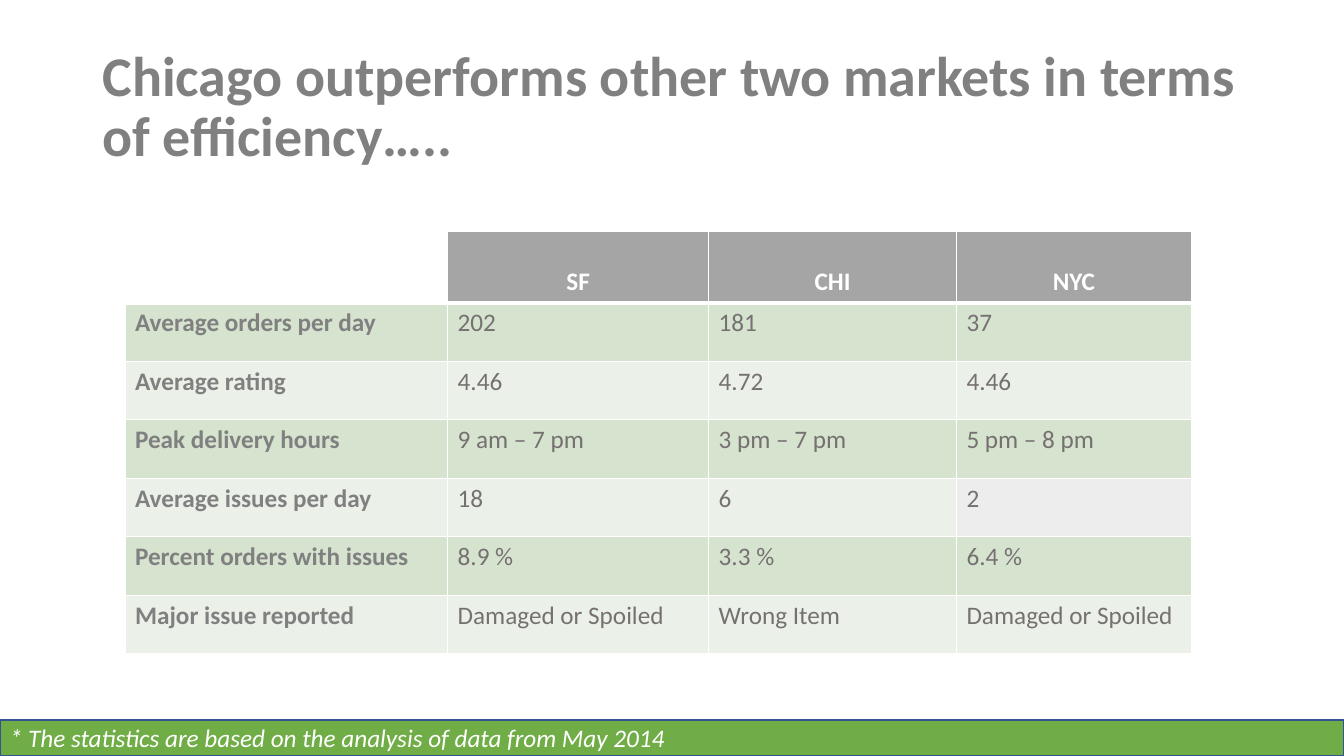
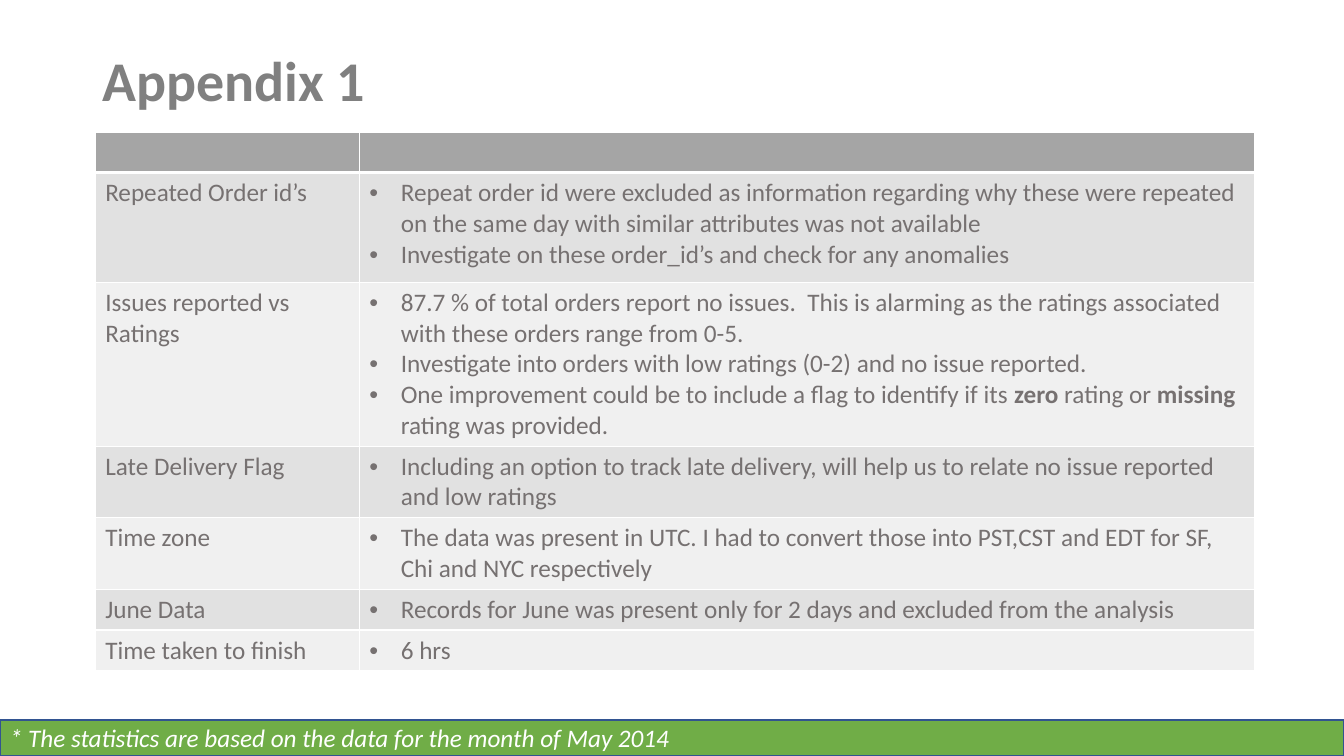
"""Build two slides: a market comparison table and an appendix of data notes."""

from dataclasses import dataclass, field

from lxml.etree import SubElement
from pptx import Presentation
from pptx.dml.color import RGBColor
from pptx.enum.shapes import MSO_SHAPE as Shape
from pptx.enum.text import MSO_ANCHOR as Anchor, PP_ALIGN as Align
from pptx.oxml.ns import qn
from pptx.util import Pt

FONT = "Calibri"
SLIDE_WIDTH, SLIDE_HEIGHT = 960, 540
FOOTER_TOP, FOOTER_HEIGHT = 514.4, 25.2
TITLE_LEFT, TITLE_WIDTH = 66.2, 828
TITLE_SIZE, BODY_SIZE = 40, 18
BULLET_INDENT = 22.5
BORDER_WIDTH, HEADER_BORDER_WIDTH = 1, 3
BOLD_MARK = "**"

COLORS = {
    "white": "FFFFFF",
    "title": "808080",
    "body": "767171",
    "header": "A5A5A5",
    "footer": "70AD47",
    "footer_line": "325491",
    "green_dark": "D5E3CF",
    "green_light": "EBF1E9",
    "gray_dark": "E1E1E1",
    "gray_light": "F0F0F0",
    "gray_single": "EDEDED",
}


@dataclass(frozen=True)
class TextStyle:
    color: str
    size: float = BODY_SIZE
    bold: bool = False
    italic: bool = False


@dataclass(frozen=True)
class TableSpec:
    left: float
    top: float
    column_widths: tuple[float, ...]
    row_heights: tuple[float, ...]
    rows: tuple[tuple[str, ...], ...]
    bands: tuple[str, str]
    label_style: TextStyle
    bulleted: bool = False
    fills: dict[tuple[int, int], str] = field(default_factory=dict)


@dataclass(frozen=True)
class SlideSpec:
    title: str
    title_top: float
    title_height: float
    footer: str
    table: TableSpec


TITLE = TextStyle("title", TITLE_SIZE, bold=True)
FOOTER = TextStyle("white", italic=True)
HEADER = TextStyle("white", bold=True)
BODY = TextStyle("body")
LABEL = TextStyle("title", bold=True)

MARKETS = TableSpec(
    left=89.3,
    top=165,
    column_widths=(230.4, 186.5, 177, 167.8),
    row_heights=(51.2,) + (41.8,) * 6,
    rows=(
        ("", "SF", "CHI", "NYC"),
        ("Average orders per day", "202", "181", "37"),
        ("Average rating", "4.46", "4.72", "4.46"),
        ("Peak delivery hours", "9 am – 7 pm", "3 pm – 7 pm", "5 pm – 8 pm"),
        ("Average issues per day", "18", "6", "2"),
        ("Percent orders with issues", "8.9 %", "3.3 %", "6.4 %"),
        ("Major issue reported", "Damaged or Spoiled", "Wrong Item", "Damaged or Spoiled"),
    ),
    bands=("green_dark", "green_light"),
    label_style=LABEL,
    fills={(0, 0): "white", (4, 3): "gray_single"},
)

DATA_NOTES = TableSpec(
    left=68,
    top=94.3,
    column_widths=(188.6, 639.4),
    row_heights=(29, 78.4, 117, 51.2, 51.2, 29, 29),
    rows=(
        ("", ""),
        (
            "Repeated Order id’s",
            "Repeat order id were excluded as information regarding why these were "
            "repeated on the same day with similar attributes was not available\n"
            "Investigate on these order_id’s and check for any anomalies",
        ),
        (
            "Issues reported vs Ratings",
            "87.7 % of total orders report no issues.  This is alarming as the ratings "
            "associated with these orders range from 0-5.\n"
            "Investigate into orders with low ratings (0-2) and no issue reported.\n"
            "One improvement could be to include a flag to identify if its **zero** "
            "rating or **missing **rating was provided.",
        ),
        (
            "Late Delivery Flag",
            "Including an option to track late delivery, will help us to relate no "
            "issue reported and low ratings",
        ),
        (
            "Time zone",
            "The data was present in UTC. I had to convert those into PST,CST and EDT "
            "for SF, Chi and NYC respectively",
        ),
        (
            "June Data",
            "Records for June was present only for 2 days and excluded from the analysis",
        ),
        ("Time taken to finish", "6 hrs"),
    ),
    bands=("gray_dark", "gray_light"),
    label_style=BODY,
    bulleted=True,
)

SLIDES = (
    SlideSpec(
        title="Chicago outperforms other two markets in terms of efficiency…..",
        title_top=25.2,
        title_height=104.4,
        footer="* The statistics are based on the analysis of data from May 2014",
        table=MARKETS,
    ),
    SlideSpec(
        title="Appendix 1",
        title_top=28.8,
        title_height=61.9,
        footer="* The statistics are based on the data for the month of May 2014",
        table=DATA_NOTES,
    ),
)


def rgb(name: str) -> RGBColor:
    return RGBColor.from_string(COLORS[name])


def add_runs(paragraph, text: str, style: TextStyle) -> None:
    for index, part in enumerate(text.split(BOLD_MARK)):
        run = paragraph.add_run()
        run.text = part
        run.font.name = FONT
        run.font.size = Pt(style.size)
        run.font.bold = style.bold or index % 2 == 1
        run.font.italic = style.italic
        run.font.color.rgb = rgb(style.color)


def add_bullet(paragraph) -> None:
    properties = paragraph._p.get_or_add_pPr()
    properties.set("marL", str(Pt(BULLET_INDENT)))
    properties.set("indent", str(-Pt(BULLET_INDENT)))
    SubElement(properties, qn("a:buFont")).set("typeface", "Arial")
    SubElement(properties, qn("a:buChar")).set("char", "•")


def add_title(slide, spec: SlideSpec) -> None:
    shape = slide.shapes.add_textbox(
        Pt(TITLE_LEFT), Pt(spec.title_top), Pt(TITLE_WIDTH), Pt(spec.title_height)
    )
    frame = shape.text_frame
    frame.word_wrap = True
    frame.vertical_anchor = Anchor.MIDDLE
    paragraph = frame.paragraphs[0]
    paragraph.line_spacing = 0.9
    add_runs(paragraph, spec.title, TITLE)


def add_footer(slide, text: str) -> None:
    shape = slide.shapes.add_shape(
        Shape.RECTANGLE, Pt(0), Pt(FOOTER_TOP), Pt(SLIDE_WIDTH), Pt(FOOTER_HEIGHT)
    )
    shape.shadow.inherit = False
    shape.fill.solid()
    shape.fill.fore_color.rgb = rgb("footer")
    shape.line.color.rgb = rgb("footer_line")
    shape.line.width = Pt(1)
    shape.text_frame.vertical_anchor = Anchor.MIDDLE
    paragraph = shape.text_frame.paragraphs[0]
    paragraph.alignment = Align.LEFT
    add_runs(paragraph, text, FOOTER)


def set_borders(cell, row: int) -> None:
    properties = cell._tc.get_or_add_tcPr()
    heavy_side = {0: "B", 1: "T"}.get(row)
    for side in "LRTB":
        width = HEADER_BORDER_WIDTH if side == heavy_side else BORDER_WIDTH
        line = SubElement(properties, qn(f"a:ln{side}"), w=str(Pt(width)))
        fill = SubElement(line, qn("a:solidFill"))
        SubElement(fill, qn("a:srgbClr"), val=COLORS["white"])


def fill_cell(cell, spec: TableSpec, row: int, column: int) -> None:
    is_header = row == 0
    set_borders(cell, row)
    band = "header" if is_header else spec.bands[(row - 1) % 2]
    cell.fill.solid()
    cell.fill.fore_color.rgb = rgb(spec.fills.get((row, column), band))
    cell.vertical_anchor = Anchor.BOTTOM if is_header else Anchor.TOP
    text = spec.rows[row][column]
    if not text:
        return
    body_style = spec.label_style if column == 0 else BODY
    for index, line in enumerate(text.split("\n")):
        frame = cell.text_frame
        paragraph = frame.add_paragraph() if index else frame.paragraphs[0]
        if is_header:
            paragraph.alignment = Align.CENTER
        elif spec.bulleted and column > 0:
            add_bullet(paragraph)
        add_runs(paragraph, line, HEADER if is_header else body_style)


def add_table(slide, spec: TableSpec) -> None:
    table = slide.shapes.add_table(
        len(spec.row_heights),
        len(spec.column_widths),
        Pt(spec.left),
        Pt(spec.top),
        Pt(sum(spec.column_widths)),
        Pt(sum(spec.row_heights)),
    ).table
    table.first_row = False
    table.horz_banding = False
    for column, width in zip(table.columns, spec.column_widths):
        column.width = Pt(width)
    for row, height in enumerate(spec.row_heights):
        table.rows[row].height = Pt(height)
        for column in range(len(spec.column_widths)):
            fill_cell(table.cell(row, column), spec, row, column)


def main() -> None:
    presentation = Presentation()
    presentation.slide_width = Pt(SLIDE_WIDTH)
    presentation.slide_height = Pt(SLIDE_HEIGHT)
    blank_layout = presentation.slide_layouts[6]
    for spec in SLIDES:
        slide = presentation.slides.add_slide(blank_layout)
        add_title(slide, spec)
        add_footer(slide, spec.footer)
        add_table(slide, spec.table)
    presentation.save("out.pptx")


if __name__ == "__main__":
    main()
